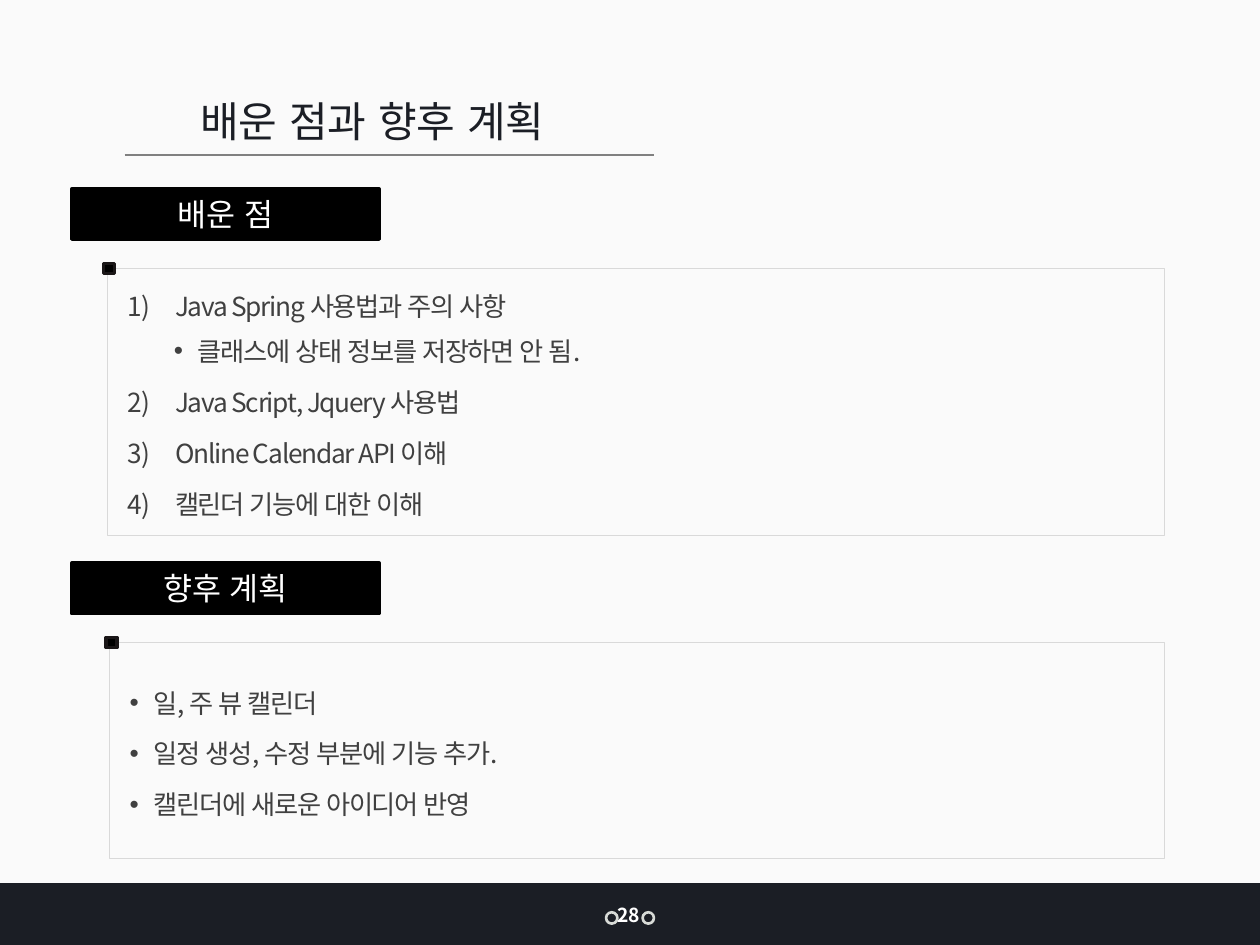
from dataclasses import dataclass

from lxml.etree import SubElement
from pptx import Presentation
from pptx.dml.color import RGBColor
from pptx.enum.shapes import MSO_CONNECTOR, MSO_SHAPE
from pptx.enum.text import MSO_ANCHOR, MSO_AUTO_SIZE, PP_ALIGN
from pptx.oxml.ns import qn
from pptx.util import Inches, Pt


@dataclass(frozen=True)
class Theme:
    font: str = "Noto Sans CJK KR"
    paper: str = "FAFAFA"
    navy: str = "1B1E25"
    ring: str = "D8DBD7"
    rule: str = "808080"
    black: str = "000000"
    marker_line: str = "1A1617"
    frame: str = "D9D9D9"
    body: str = "404040"
    white: str = "FFFFFF"
    title_size: float = 24
    heading_size: float = 18
    body_size: float = 15
    number_size: float = 11


theme = Theme()
presentation = Presentation()
presentation.slide_width = Inches(10)
presentation.slide_height = Inches(7.5)
slide = presentation.slides.add_slide(presentation.slide_layouts[6])


def add_box(bounds, fill=None, line=None, width=0, preset=MSO_SHAPE.RECTANGLE):
    shape = slide.shapes.add_shape(preset, *[Inches(value) for value in bounds])
    shape.shadow.inherit = False
    if fill:
        shape.fill.solid()
        shape.fill.fore_color.rgb = RGBColor.from_string(fill)
    else:
        shape.fill.background()
    if line:
        shape.line.color.rgb = RGBColor.from_string(line)
        shape.line.width = Pt(width)
    else:
        shape.line.fill.background()
    return shape


def write(paragraph, text, size, color, alignment=PP_ALIGN.LEFT, bold=False, spacing=0):
    paragraph.text = text
    paragraph.alignment = alignment
    for run in paragraph.runs:
        run.font.size = Pt(size)
        run.font.bold = bold
        run.font.color.rgb = RGBColor.from_string(color)
        run.font.name = theme.font
        properties = run._r.get_or_add_rPr()
        properties.set("lang", "ko-KR")
        if spacing:
            properties.set("spc", str(round(spacing * 100)))
        SubElement(properties, qn("a:ea")).set("typeface", theme.font)


add_box((0, 0, 10, 7.5), theme.paper)
add_box((0, 7.01, 10, 0.49), theme.navy)
for left in (4.81, 5.1):
    add_box((left, 7.24, 0.09, 0.09), theme.navy, theme.ring, 1.5, MSO_SHAPE.OVAL)

title = slide.shapes.add_textbox(Inches(0.57), Inches(0.71), Inches(4.77), Inches(0.5))
title.text_frame.word_wrap = True
title.text_frame.auto_size = MSO_AUTO_SIZE.SHAPE_TO_FIT_TEXT
write(title.text_frame.paragraphs[0], "배운 점과 향후 계획", theme.title_size, theme.navy, PP_ALIGN.CENTER)

underline = slide.shapes.add_connector(
    MSO_CONNECTOR.STRAIGHT, Inches(0.99), Inches(1.23), Inches(5.19), Inches(1.23)
)
underline.line.color.rgb = RGBColor.from_string(theme.rule)
underline.line.width = Pt(0.75)
SubElement(underline._element.spPr, qn("a:effectLst"))

list_styles = {
    "number": (0, 0.38, 0.38, 7.5),
    "sub": (1, 0.56, 0.19, 3.8),
    "bullet": (0, 0.19, 0.19, 7.5),
}
sections = [
    ("배운 점", 1.5, (0.85, 2.13, 8.39, 2.12), [
        ("number", "Java Spring 사용법과 주의 사항"),
        ("sub", "클래스에 상태 정보를 저장하면 안 됨."),
        ("number", "Java Script, Jquery 사용법"),
        ("number", "Online Calendar API 이해"),
        ("number", "캘린더 기능에 대한 이해"),
    ]),
    ("향후 계획", 4.47, (0.87, 5.1, 8.37, 1.71), [
        ("bullet", "일, 주 뷰 캘린더"),
        ("bullet", "일정 생성, 수정 부분에 기능 추가."),
        ("bullet", "캘린더에 새로운 아이디어 반영"),
    ]),
]

for heading, heading_top, frame_bounds, items in sections:
    heading_box = add_box((0.57, heading_top, 2.44, 0.4), theme.black, theme.black, 2)
    heading_box.text_frame.vertical_anchor = MSO_ANCHOR.MIDDLE
    write(heading_box.text_frame.paragraphs[0], heading, theme.heading_size, theme.white, PP_ALIGN.CENTER)

    frame = add_box(frame_bounds, line=theme.frame, width=0.5)
    text_frame = frame.text_frame
    text_frame.word_wrap = True
    text_frame.vertical_anchor = MSO_ANCHOR.MIDDLE
    text_frame.margin_left = text_frame.margin_right = Inches(0.16)
    for index, (style, text) in enumerate(items):
        level, indent, hanging, space_before = list_styles[style]
        paragraph = text_frame.add_paragraph() if index else text_frame.paragraphs[0]
        properties = paragraph._p.get_or_add_pPr()
        properties.set("marL", str(Inches(indent)))
        properties.set("indent", str(-Inches(hanging)))
        if style == "number":
            SubElement(properties, qn("a:buFont")).set("typeface", theme.font)
            SubElement(properties, qn("a:buAutoNum")).set("type", "arabicParenR")
        else:
            SubElement(properties, qn("a:buFont")).set("typeface", "Arial")
            SubElement(properties, qn("a:buChar")).set("char", "•")
        paragraph.level = level
        paragraph.line_spacing = 1.2
        paragraph.space_before = Pt(space_before if index else 0)
        write(paragraph, text, theme.body_size, theme.body, spacing=-0.7)

    frame_left, frame_top = frame_bounds[:2]
    add_box((frame_left - 0.03, frame_top - 0.04, 0.09, 0.08), theme.black, theme.marker_line, 2)

page_number = slide.shapes.add_textbox(Inches(4.8), Inches(7.12), Inches(0.39), Inches(0.29))
page_number.text_frame.word_wrap = False
page_number.text_frame.auto_size = MSO_AUTO_SIZE.SHAPE_TO_FIT_TEXT
write(page_number.text_frame.paragraphs[0], "28", theme.number_size, theme.white, bold=True)

presentation.save("out.pptx")
